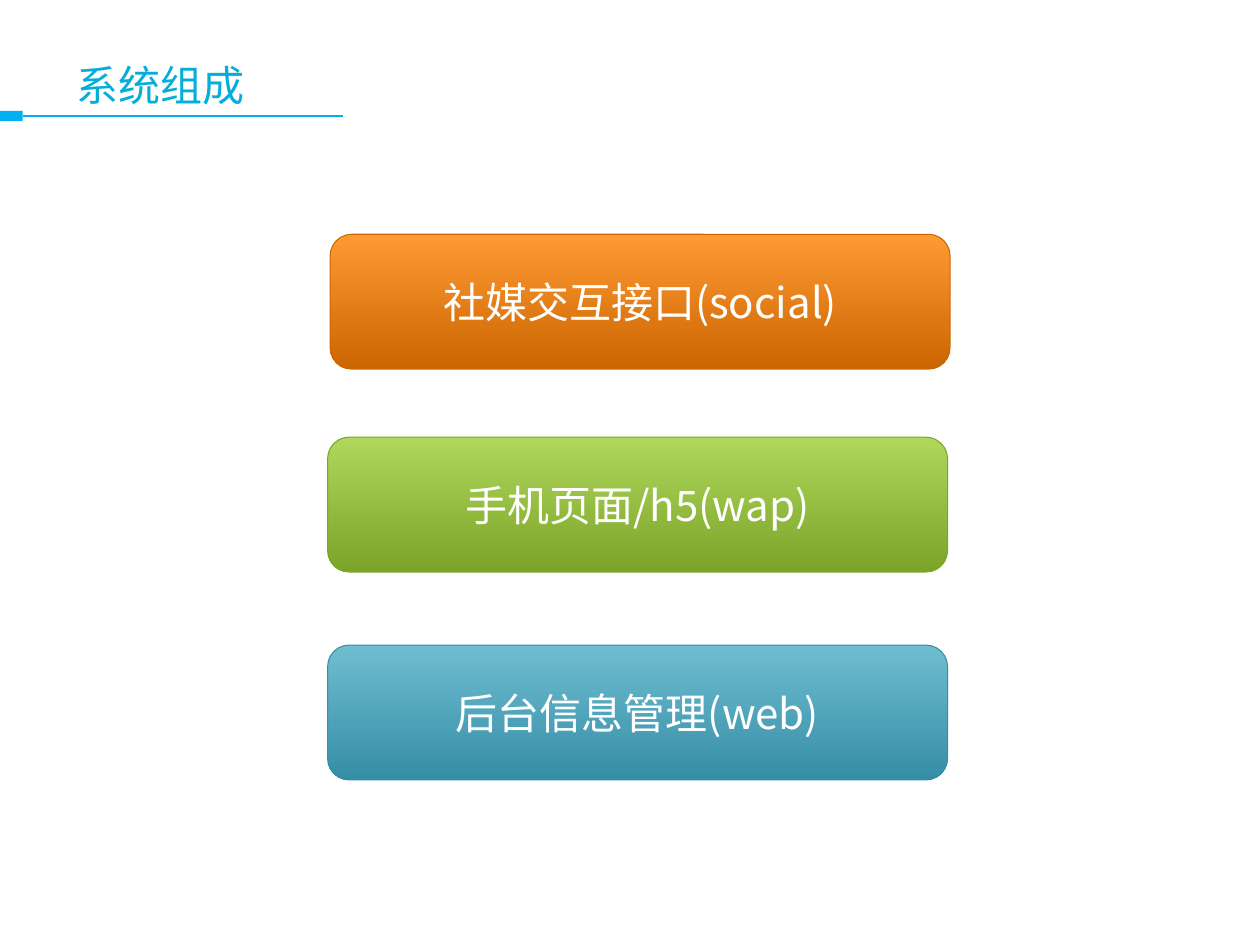
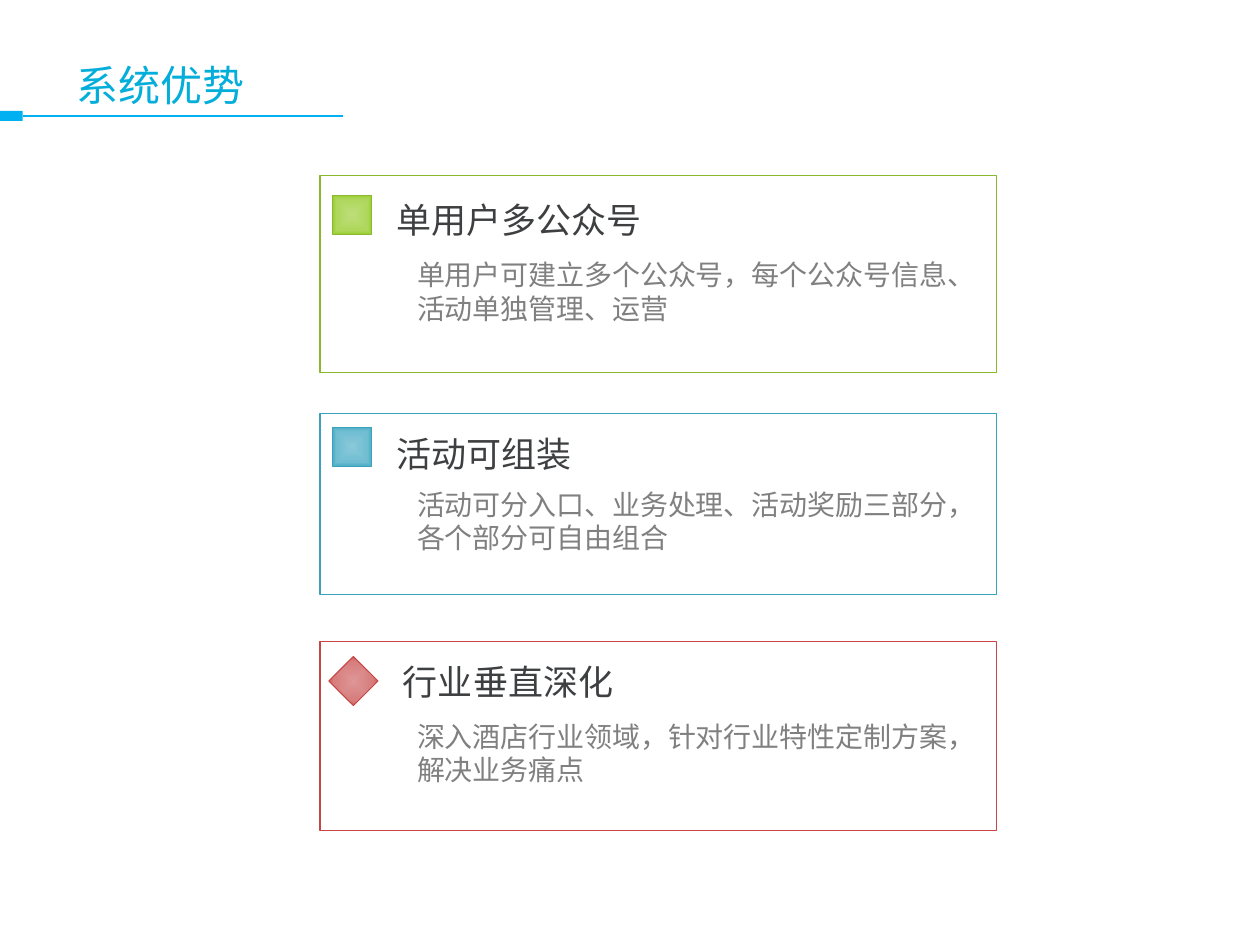
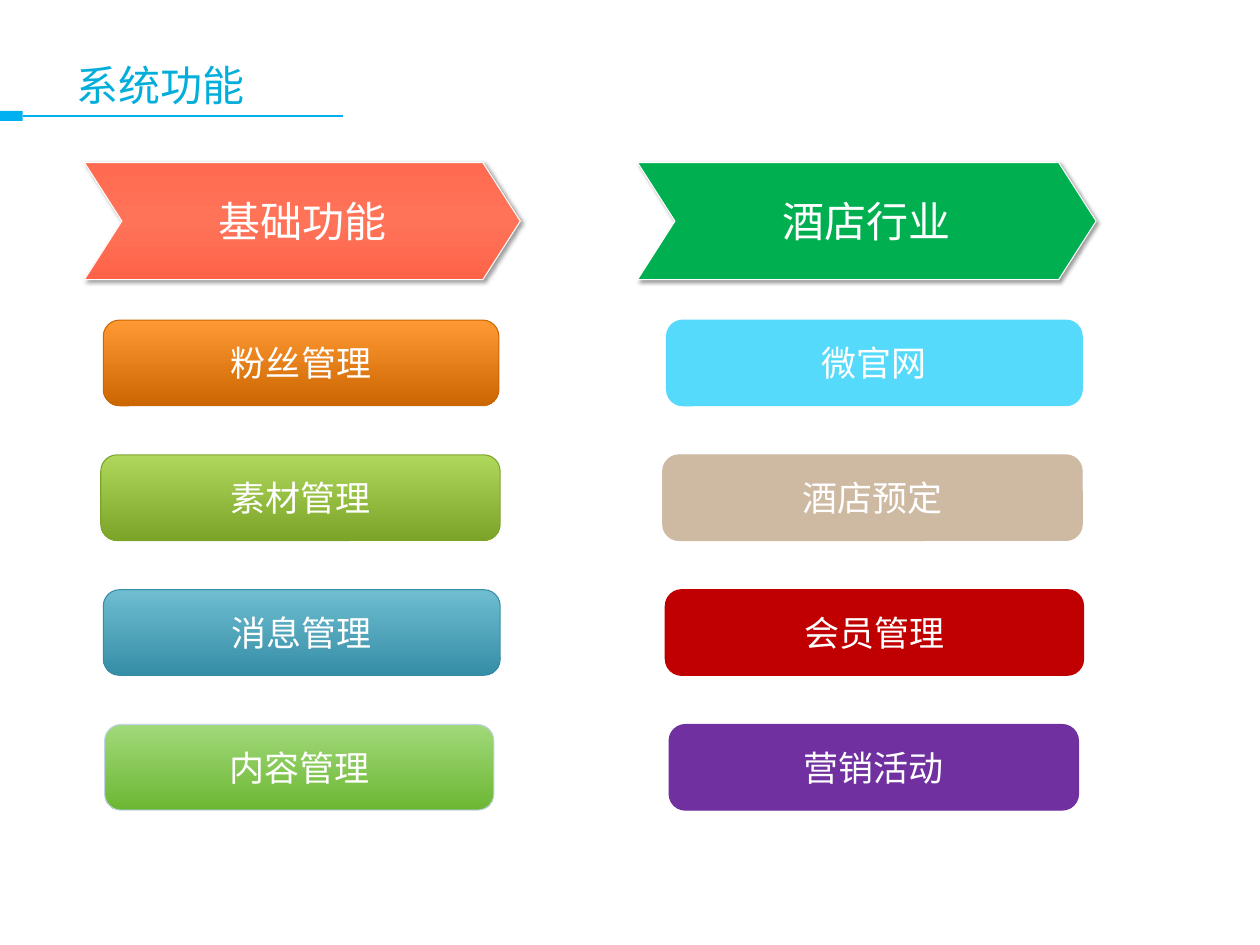
from lxml import etree
from pptx import Presentation
from pptx.dml.color import RGBColor
from pptx.enum.shapes import MSO_CONNECTOR, MSO_SHAPE
from pptx.enum.text import MSO_ANCHOR, PP_ALIGN
from pptx.oxml import parse_xml
from pptx.oxml.ns import nsdecls, qn
from pptx.util import Inches, Pt

RECT, ROUND = MSO_SHAPE.RECTANGLE, MSO_SHAPE.ROUNDED_RECTANGLE
DIAMOND, CHEVRON = MSO_SHAPE.DIAMOND, MSO_SHAPE.CHEVRON
STRAIGHT = MSO_CONNECTOR.STRAIGHT
TOP, MIDDLE = MSO_ANCHOR.TOP, MSO_ANCHOR.MIDDLE
LEFT, CENTER = PP_ALIGN.LEFT, PP_ALIGN.CENTER

SANS, HEAD = "Noto Sans CJK SC", "Montserrat"
WHITE, ACCENT, TITLE = "FFFFFF", "00B0F0", "04AEDA"
DARK, GREY = "3D3F41", "808080"
ORANGE = ("FF9933", "CC6600")
GREEN = ("AED75B", "7BA428")
BLUE = ("6FBDD1", "358EA6")
LIME = ("A1D979", "6CB734")
CORAL = ("FF6B50", "FF7359", "FF6347")
INSETS = (0.04, 0.02, 0.04, 0.02)


def color(code):
    return RGBColor.from_string(code)


def shade(shape, stops, radial=False):
    """Fill with a gradient of (percent, colour) stops."""
    marks = "".join(
        f'<a:gs pos="{pos * 1000}"><a:srgbClr val="{code}"/></a:gs>'
        for pos, code in stops)
    if radial:
        way = ('<a:path path="shape"><a:fillToRect l="50000" t="50000" '
               'r="50000" b="50000"/></a:path>')
    else:
        way = '<a:lin ang="5400000" scaled="0"/>'
    shape.fill.background()
    props = shape._element.spPr
    props.replace(props.find(qn("a:noFill")), parse_xml(
        f'<a:gradFill {nsdecls("a")} rotWithShape="1">'
        f'<a:gsLst>{marks}</a:gsLst>{way}</a:gradFill>'))


def add_box(slide, kind, box, fill, edge=None, radial=False):
    """Add a shape; fill is one colour or a list of gradient stops."""
    shape = slide.shapes.add_shape(kind, *map(Inches, box))
    shape.shadow.inherit = False
    if isinstance(fill, str):
        shape.fill.solid()
        shape.fill.fore_color.rgb = color(fill)
    else:
        shade(shape, fill, radial)
    if edge:
        shape.line.color.rgb = color(edge)
        shape.line.width = Pt(0.6)
    else:
        shape.line.fill.background()
    return shape


def write(shape, text, size, code, font=SANS, align=LEFT, anchor=MIDDLE,
          insets=INSETS, space=None):
    frame = shape.text_frame
    frame.word_wrap = True
    frame.vertical_anchor = anchor
    (frame.margin_left, frame.margin_top,
     frame.margin_right, frame.margin_bottom) = map(Inches, insets)
    par = frame.paragraphs[0]
    par.alignment = align
    if space:
        par.line_spacing = space
    run = par.add_run()
    run.text = text
    run.font.size = Pt(size)
    run.font.name = font
    run.font.color.rgb = color(code)


def add_text(slide, box, *args, **style):
    write(slide.shapes.add_textbox(*map(Inches, box)), *args,
          insets=(0.1, 0.05, 0.1, 0.05), **style)


def add_page(deck, title, font=HEAD):
    """Start a slide with the shared title, rule and tab."""
    slide = deck.slides.add_slide(deck.slide_layouts[6])
    rule = slide.shapes.add_connector(
        STRAIGHT, *map(Inches, (2.72, 0.92, 0.18, 0.92)))
    rule.line.color.rgb = color(ACCENT)
    rule.line.width = Pt(0.75)
    etree.SubElement(rule._element.spPr, qn("a:effectLst"))
    add_box(slide, RECT, (0, 0.88, 0.18, 0.08), ACCENT)
    add_text(slide, (0.51, 0.43, 9, 0.49), title, 24, TITLE, font=font)
    return slide


def add_pill(slide, box, text, size, fill, edge=None, bend=0.19):
    """Rounded bar, plain or shaded from top to bottom."""
    if isinstance(fill, str):
        edge = fill
    else:
        edge = edge or fill[-1]
        fill = list(zip((0, 100), fill))
    pill = add_box(slide, ROUND, box, fill, edge)
    pill.adjustments[0] = bend
    write(pill, text, size, WHITE, align=CENTER)


def add_banner(slide, box, text, fill):
    """Chevron heading with a soft shadow."""
    if not isinstance(fill, str):
        fill = list(zip((0, 50, 100), fill))
    banner = add_box(slide, CHEVRON, box, fill, WHITE)
    banner.adjustments[0] = 0.32
    banner._element.spPr.find(qn("a:effectLst")).append(parse_xml(
        f'<a:outerShdw {nsdecls("a")} blurRad="{Pt(2.4)}" '
        f'dist="{Pt(1.7)}" dir="2700000" algn="tl" rotWithShape="0">'
        '<a:srgbClr val="000000"><a:alpha val="39000"/></a:srgbClr>'
        '</a:outerShdw>'))
    write(banner, text, 24, WHITE, align=CENTER)


def add_card(slide, box, edge, tones, icon, head, text):
    """Framed card; icon and head are placed from the card's corner."""
    left, top = box[:2]
    frame = add_box(slide, RECT, box, WHITE, edge)
    write(frame, text, 16, GREY, insets=(0.77, 0.29, 0.04, 0.02),
          space=Pt(19.2))
    kind, right, down, side = icon
    add_box(slide, kind, (left + right, top + down, side, side),
            list(zip((0, 80, 100), tones)), edge, radial=True)
    right, down = head[:2]
    add_text(slide, (left + right, top + down, 2.8, 0.54), head[2],
             20, DARK, anchor=TOP, space=1.3)


def parts_page(deck):
    slide = add_page(deck, "系统组成")
    for left, top, text, fill in (
            (2.62, 1.86, "社媒交互接口(social)", ORANGE),
            (2.6, 3.47, "手机页面/h5(wap)", GREEN),
            (2.6, 5.12, "后台信息管理(web)", BLUE)):
        add_pill(slide, (left, top, 4.92, 1.07), text, 24, fill, bend=0.16)


def gains_page(deck):
    slide = add_page(deck, "系统优势")
    cards = (
        (1.39, 1.57, "8BB82D", ("BDDE7A", "AED75B", "9ACD32"),
         (RECT, 0.1, 0.16, 0.31), (0.51, 0.04, "单用户多公众号"),
         "单用户可建立多个公众号，每个公众号信息、活动单独管理、运营"),
        (3.28, 1.44, "3BA0BB", ("8AC9DA", "6FBDD1", "4BACC6"),
         (RECT, 0.1, 0.11, 0.31), (0.51, 0, "活动可组装"),
         "活动可分入口、业务处理、活动奖励三部分，各个部分可自由组合"),
        (5.09, 1.5, "C64545", ("DE9595", "D77D7D", "CD5C5C"),
         (DIAMOND, 0.07, 0.12, 0.39), (0.56, 0, "行业垂直深化"),
         "深入酒店行业领域，针对行业特性定制方案，解决业务痛点"))
    for top, height, *rest in cards:
        add_card(slide, (2.54, top, 5.37, height), *rest)


def add_column(slide, banner, pills):
    """Banner over evenly stepped pills."""
    left, width, text, fill = banner
    add_banner(slide, (left, 1.29, width, 0.93), text, fill)
    for row, (left, width, *rest) in enumerate(pills):
        add_pill(slide, (left, 2.54 + row * 1.07, width, 0.68),
                 rest[0], 20, *rest[1:])


def tasks_page(deck):
    slide = add_page(deck, "系统功能", SANS)
    add_column(slide, (0.67, 3.46, "基础功能", CORAL), (
        (0.82, 3.14, "粉丝管理", ORANGE),
        (0.8, 3.17, "素材管理", GREEN),
        (0.82, 3.15, "消息管理", BLUE),
        (0.83, 3.09, "内容管理", LIME, "C1D2E8")))
    add_column(slide, (5.06, 3.64, "酒店行业", "00B050"), (
        (5.29, 3.3, "微官网", "55DAFC"),
        (5.26, 3.33, "酒店预定", "CEB9A3"),
        (5.28, 3.32, "会员管理", "C00000"),
        (5.31, 3.25, "营销活动", "7030A0")))


def main():
    deck = Presentation()
    deck.slide_width, deck.slide_height = Inches(10), Inches(7.5)
    for page in (parts_page, gains_page, tasks_page):
        page(deck)
    deck.save("out.pptx")


if __name__ == "__main__":
    main()
